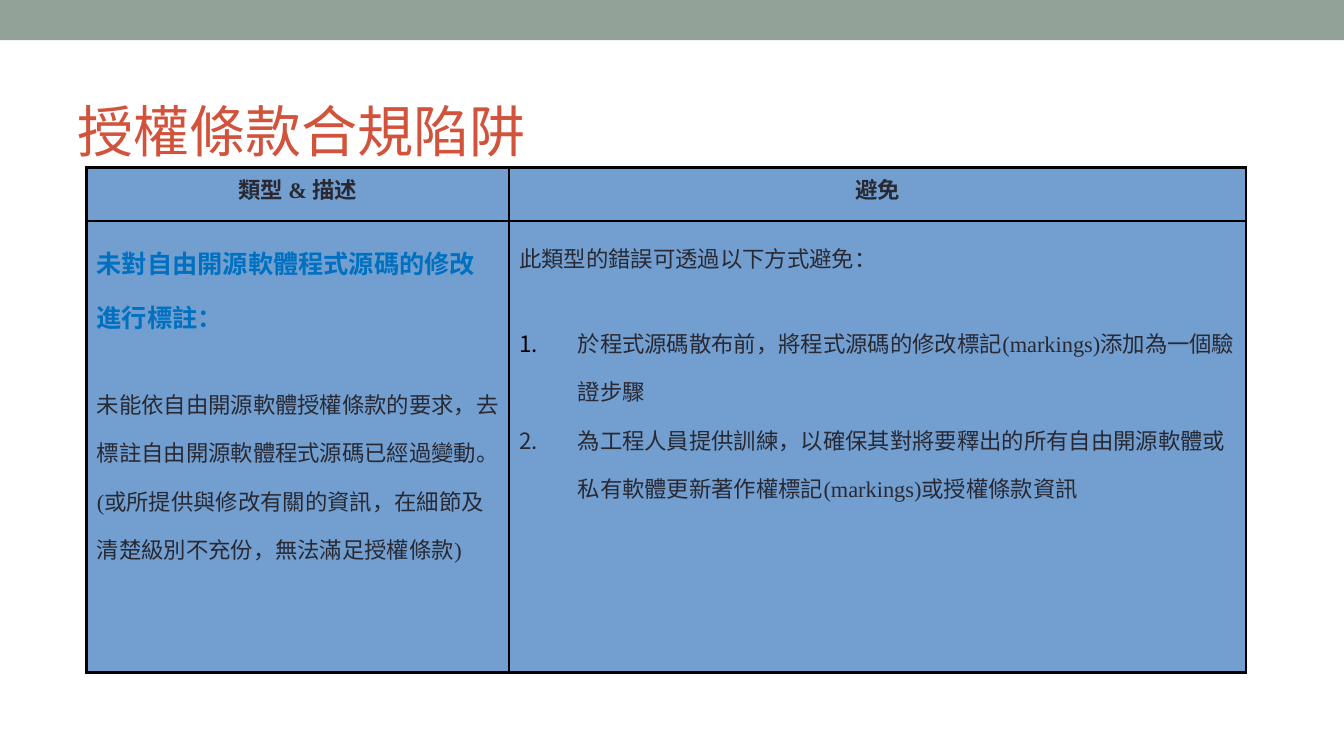
from lxml import etree
from pptx import Presentation
from pptx.dml.color import RGBColor
from pptx.enum.shapes import MSO_SHAPE
from pptx.enum.text import MSO_ANCHOR, MSO_AUTO_SIZE, PP_ALIGN
from pptx.oxml.ns import qn
from pptx.util import Inches, Pt

RECTANGLE = MSO_SHAPE.RECTANGLE
MIDDLE = MSO_ANCHOR.MIDDLE
NO_FIT = MSO_AUTO_SIZE.NONE
LEFT, CENTER = PP_ALIGN.LEFT, PP_ALIGN.CENTER

# Content
FONT = "Times New Roman"
COLORS = {"bar": "93A299", "title": "D2533C", "cell": "729FCF", "text": "292934",
          "accent": "0070C0", "black": "000000"}
TITLE = "授權條款合規陷阱"
HEADING = {"bold": True, "align": CENTER}
BODY = {"spacing": 1.5}
LISTED = {**BODY, "indent": 0.58}
GAP = 26  # points between blocks of text in a cell

# Rows of cells; each cell is a list of (text, format)
ROWS = [
    [
        [("類型 & 描述", {**HEADING, "indent": 0.38})],
        [("避免", {**HEADING, "indent": 0.58})],
    ],
    [
        [
            ("未對自由開源軟體程式源碼的修改進行標註：",
             {**BODY, "size": 18, "bold": True, "color": "accent"}),
            ("未能依自由開源軟體授權條款的要求，去標註自由開源軟體程式源碼已經過變動。"
             "(或所提供與修改有關的資訊，在細節及清楚級別不充份，無法滿足授權條款)",
             {**BODY, "before": GAP}),
        ],
        [
            ("此類型的錯誤可透過以下方式避免：", LISTED),
            ("於程式源碼散布前，將程式源碼的修改標記(markings)添加為一個驗證步驟",
             {**LISTED, "before": GAP, "number": "black"}),
            ("為工程人員提供訓練，以確保其對將要釋出的所有自由開源軟體或"
             "私有軟體更新著作權標記(markings)或授權條款資訊",
             {**LISTED, "number": "text"}),
        ],
    ],
]
COLUMN_WIDTHS = (4.19, 7.31)
ROW_HEIGHTS = (0.53, 4.48)
TABLE_LEFT, TABLE_TOP = 0.86, 1.66
BORDER = 1.98


def rgb(name):
    return RGBColor.from_string(COLORS[name])


def add_color(parent, name):
    etree.SubElement(parent, qn("a:srgbClr"), val=COLORS[name])


def write(para, text, size=16, color="text", bold=False, align=LEFT,
          spacing=None, before=0, indent=0, number=None):
    para.alignment = align
    para.space_before = Pt(before)
    if spacing:
        para.line_spacing = spacing
    span = para.add_run()
    span.text = text
    span.font.name = FONT
    span.font.size = Pt(size)
    span.font.bold = bold
    span.font.color.rgb = rgb(color)
    properties = para._p.get_or_add_pPr()
    if indent:
        properties.set("marL", str(Inches(indent)))
        properties.set("indent", str(-Inches(indent)))
    if number:
        add_color(etree.SubElement(properties, qn("a:buClr")), number)
        etree.SubElement(properties, qn("a:buFont"), typeface="+mj-lt")
        etree.SubElement(properties, qn("a:buAutoNum"), type="arabicPeriod")


def add_borders(cell):
    properties = cell._tc.get_or_add_tcPr()
    for position, side in enumerate(("lnL", "lnR", "lnT", "lnB")):
        line = etree.Element(qn("a:" + side), w=str(Pt(BORDER)))
        add_color(etree.SubElement(line, qn("a:solidFill")), "black")
        properties.insert(position, line)


deck = Presentation()
deck.slide_width, deck.slide_height = Inches(13.33), Inches(7.5)
page = deck.slides.add_slide(deck.slide_layouts[5])

# Top bar
bar = page.shapes.add_shape(RECTANGLE, 0, 0, deck.slide_width, Inches(0.4))
bar.shadow.inherit = False
bar.fill.solid()
bar.fill.fore_color.rgb = rgb("bar")
bar.line.fill.background()

# Title
title = page.shapes.title
title.left, title.top = Inches(0.67), Inches(0.58)
title.width, title.height = Inches(12), Inches(1.08)
title.text_frame.auto_size = NO_FIT
title.text_frame.word_wrap = True
title.text_frame.vertical_anchor = MIDDLE
write(title.text_frame.paragraphs[0], TITLE, size=40, color="title", spacing=1.5)

# Table
table = page.shapes.add_table(
    len(ROW_HEIGHTS), len(COLUMN_WIDTHS), Inches(TABLE_LEFT), Inches(TABLE_TOP),
    Inches(sum(COLUMN_WIDTHS)), Inches(sum(ROW_HEIGHTS))).table
for column, width in zip(table.columns, COLUMN_WIDTHS):
    column.width = Inches(width)
for row, height, contents in zip(table.rows, ROW_HEIGHTS, ROWS):
    row.height = Inches(height)
    for cell, paragraphs in zip(row.cells, contents):
        cell.fill.solid()
        cell.fill.fore_color.rgb = rgb("cell")
        add_borders(cell)
        frame = cell.text_frame
        for index, (text, style) in enumerate(paragraphs):
            para = frame.add_paragraph() if index else frame.paragraphs[0]
            write(para, text, **style)

deck.save("out.pptx")
